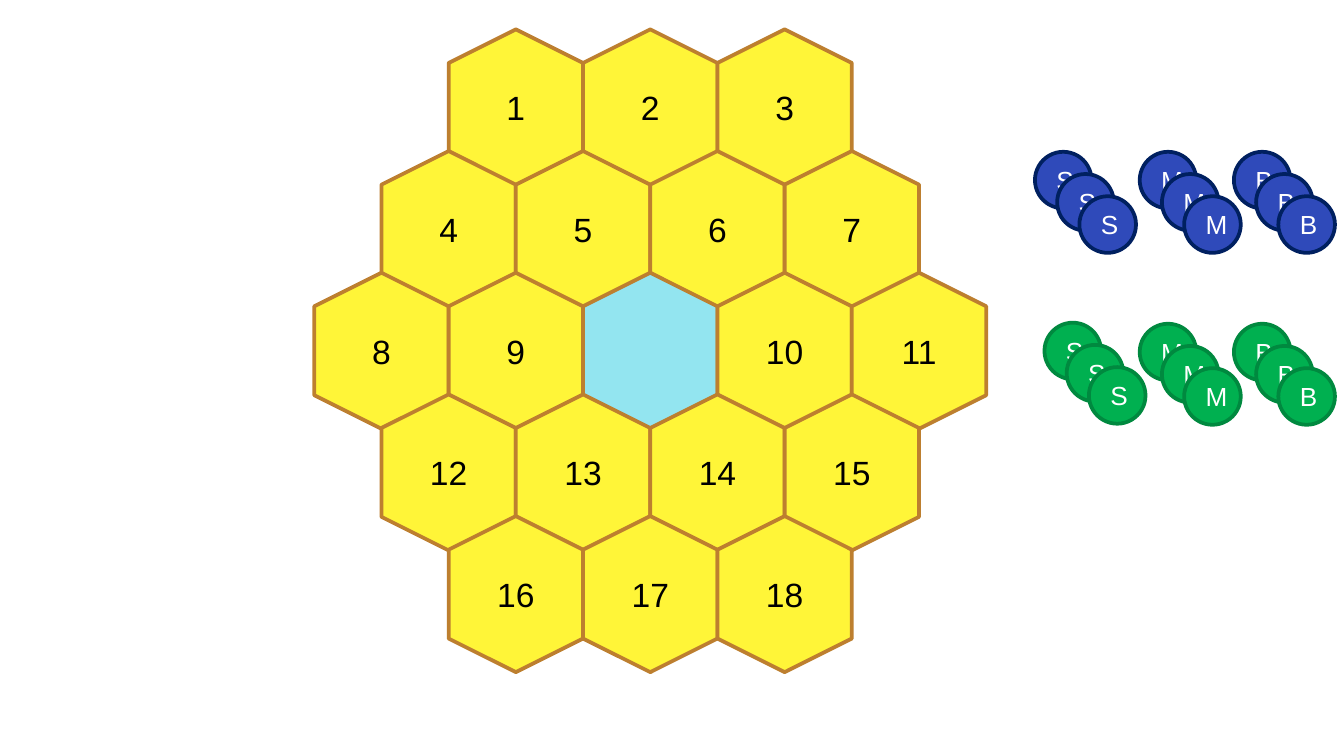
from pptx import Presentation
from pptx.dml.color import RGBColor
from pptx.enum.shapes import MSO_SHAPE
from pptx.enum.text import MSO_ANCHOR, PP_ALIGN
from pptx.util import Cm, Pt

COLORS = {
    "tile": "FFF538", "tile_line": "BD7F2F", "center": "93E5F0",
    "blue": "2F4ABA", "blue_line": "002060",
    "green": "00B050", "green_line": "00893F",
    "black": "000000", "white": "FFFFFF",
}

BOARD = [
    ["1", "2", "3"],
    ["4", "5", "6", "7"],
    ["8", "9", "", "10", "11"],
    ["12", "13", "14", "15"],
    ["16", "17", "18"],
]
# color, letter, left and top of the first token (cm)
STACKS = [
    ("blue", "S", 19.56, 2.87), ("blue", "M", 21.54, 2.87), ("blue", "B", 23.32, 2.87),
    ("green", "S", 19.74, 6.10), ("green", "M", 21.54, 6.12), ("green", "B", 23.32, 6.12),
]

BOARD_X, BOARD_Y = 12.29, 6.63  # center of the board
TILE_W, TILE_H = 2.95, 2.54  # before the quarter turn
ROW_STEP = 2.3
TOKEN, TOKEN_STEP, TOKENS = 1.07, 0.42, 3


def rgb(name):
    return RGBColor.from_string(COLORS[name])


def add_piece(s, kind, box, fill, line, label, size, color):
    sp = s.shapes.add_shape(kind, *(Cm(v) for v in box))
    sp.shadow.inherit = False
    sp.fill.solid()
    sp.fill.fore_color.rgb = rgb(fill)
    sp.line.color.rgb = rgb(line)
    sp.line.width = Pt(2)
    if label:
        tf = sp.text_frame
        tf.text = label
        tf.vertical_anchor = MSO_ANCHOR.MIDDLE
        p = tf.paragraphs[0]
        p.alignment = PP_ALIGN.CENTER
        font = p.runs[0].font
        font.name, font.size, font.color.rgb = "Arial", Pt(size), rgb(color)
    return sp


def add_board(s):
    for i, row in enumerate(BOARD):
        y = BOARD_Y + (i - (len(BOARD) - 1) / 2) * ROW_STEP
        for j, label in enumerate(row):
            x = BOARD_X + (j - (len(row) - 1) / 2) * TILE_H
            box = (x - TILE_W / 2, y - TILE_H / 2, TILE_W, TILE_H)
            sp = add_piece(s, MSO_SHAPE.HEXAGON, box, "tile" if label else "center",
                           "tile_line", label, 18, "black")
            sp.rotation = 270
            # turn the text back upright
            sp.text_frame._txBody.bodyPr.set("vert", "vert")


def add_stacks(s):
    for color, letter, left, top in STACKS:
        for n in range(TOKENS):
            box = (left + n * TOKEN_STEP, top + n * TOKEN_STEP, TOKEN, TOKEN)
            add_piece(s, MSO_SHAPE.OVAL, box, color, f"{color}_line", letter, 14, "white")


def main():
    prs = Presentation()
    prs.slide_width, prs.slide_height = Cm(25.4), Cm(14.29)
    s = prs.slides.add_slide(prs.slide_layouts[6])
    add_board(s)
    add_stacks(s)
    prs.save("out.pptx")


if __name__ == "__main__":
    main()
